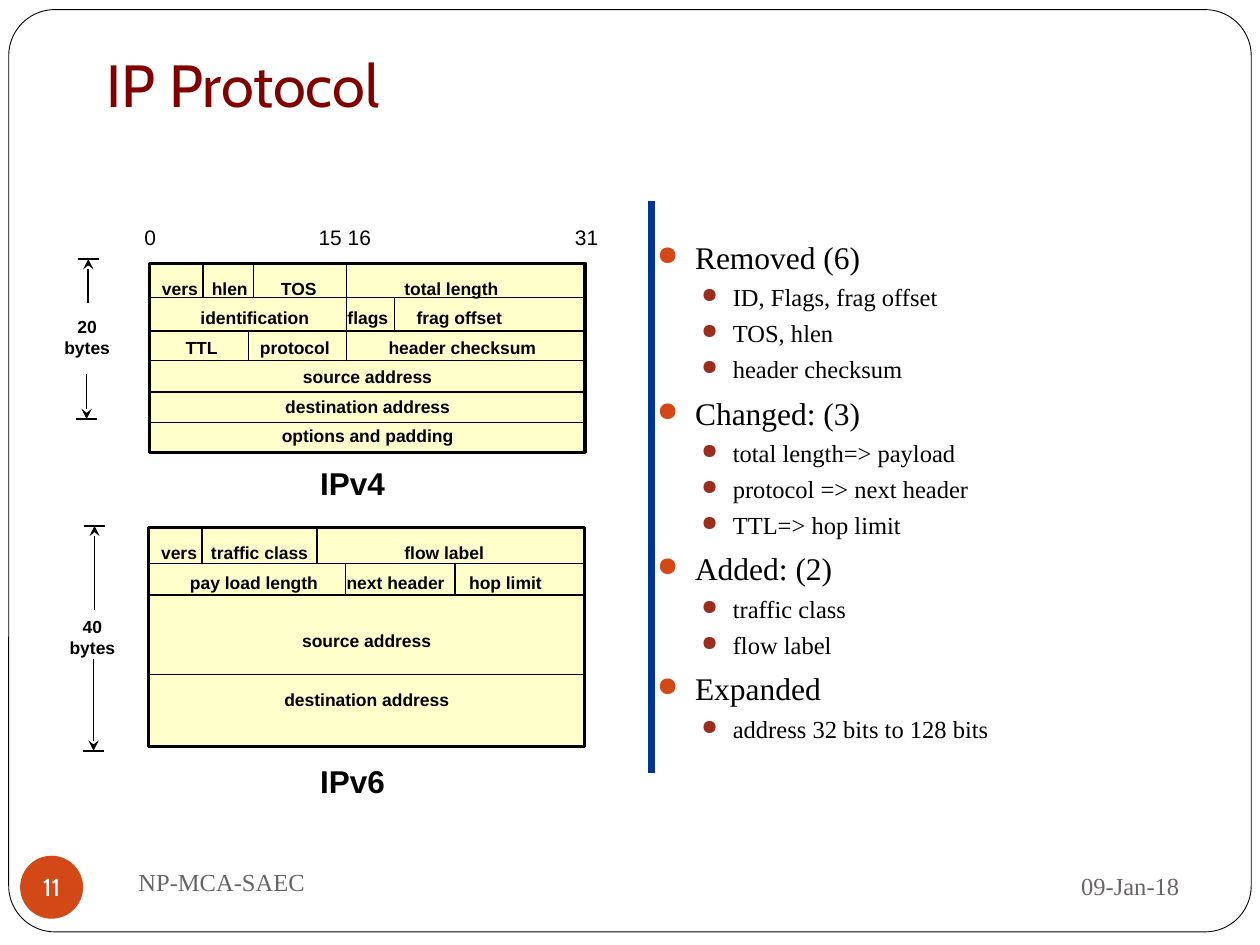
import pptx
import pptx.dml.color
import pptx.enum.shapes
import pptx.enum.text
import pptx.oxml.ns
import pptx.util
from lxml import etree

Pt = pptx.util.Pt
SHAPES = pptx.enum.shapes.MSO_SHAPE
ALIGN = pptx.enum.text.PP_ALIGN
ANCHOR = pptx.enum.text.MSO_ANCHOR
BLACK, GREY, ORANGE, RUST = "000000", "696464", "D34817", "9B2D1F"

# Fields of a header row are (label, start in points from the text edge);
# a row that is a plain string is one centred field.
# Dividers are (x, first row edge, last row edge).
HEADERS = [
    {
        "name": "IPv4", "name_top": 261.5, "box": (85.5, 150.5, 249, 108),
        "rows": [
            [("vers", 0), ("hlen", 28.5), ("TOS", 68), ("total length", 138.5)],
            [("identification", 22), ("flags", 106), ("frag offset", 145.5)],
            [("TTL", 13.5), ("protocol", 56), ("header checksum", 129.5)],
            "source address", "destination address", "options and padding",
        ],
        "row_gap": 0,
        "edges": [150.5, 170, 189, 206, 224, 241.5],
        "dividers": [(116, 0, 1), (144.8, 0, 1), (198, 0, 3), (225.5, 1, 2), (142, 2, 3)],
        "size": ("20\nbytes", 29.5, 177),
        "arrows": [(50.5, 173, 148), (49.5, 214, 239.5)],
    },
    {
        "name": "IPv6", "name_top": 432, "box": (85, 301.5, 249, 125),
        "rows": [
            [("vers", 0), ("traffic class", 28.5), ("flow label", 139)],
            [("pay load length", 16.5), ("next header", 106), ("hop limit", 176)],
            "source address", "destination address",
        ],
        "row_gap": 16.8,
        "edges": [301.5, 322, 340, 385.5],
        "dividers": [(115.5, 0, 1), (181, 0, 1), (197.5, 1, 2), (260, 1, 2)],
        "size": ("40\nbytes", 32.5, 348.5),
        "arrows": [(54, 348.5, 300.5), (53.5, 376.5, 429)],
    },
]
BITS = [("0", 0), ("15 16", 99.5), ("31", 246)]
CHANGES = [
    ("Removed (6)", ["ID, Flags, frag offset", "TOS, hlen", "header checksum"]),
    ("Changed: (3)", ["total length=> payload", "protocol => next header", "TTL=> hop limit"]),
    ("Added: (2)", ["traffic class", "flow label"]),
    ("Expanded", ["address 32 bits to 128 bits"]),
]
BAR_WIDTH = 12.25

prs = pptx.Presentation()
prs.slide_width, prs.slide_height = Pt(720), Pt(540)
slide = prs.slides.add_slide(prs.slide_layouts[6])


def rgb(hex_color):
    return pptx.dml.color.RGBColor.from_string(hex_color)


def sub(parent, tag, **attributes):
    return etree.SubElement(parent, pptx.oxml.ns.qn(tag), attributes)


def style(paragraph, size, font, color=BLACK, bold=False, align=ALIGN.LEFT):
    paragraph.alignment = align
    for run in paragraph.runs:
        run.font.size, run.font.name, run.font.bold = Pt(size), font, bold
        run.font.color.rgb = rgb(color)


def add_text(box, text, size, font, color=BLACK, bold=False, align=ALIGN.LEFT,
             anchor=ANCHOR.TOP, wrap=True):
    frame = slide.shapes.add_textbox(*map(Pt, box)).text_frame
    frame.word_wrap, frame.vertical_anchor = wrap, anchor
    frame.text = text
    for paragraph in frame.paragraphs:
        style(paragraph, size, font, color, bold, align)
    return frame


def add_shape(kind, box, fill=None, line=None, width=1):
    shape = slide.shapes.add_shape(kind, *map(Pt, box))
    shape.shadow.inherit = False
    if fill:
        shape.fill.solid()
        shape.fill.fore_color.rgb = rgb(fill)
    else:
        shape.fill.background()
    if line:
        shape.line.color.rgb, shape.line.width = rgb(line), Pt(width)
    else:
        shape.line.fill.background()
    return shape


def add_line(x1, y1, x2, y2, color=BLACK, width=1, arrow=False):
    line = slide.shapes.add_connector(
        pptx.enum.shapes.MSO_CONNECTOR.STRAIGHT, *map(Pt, (x1, y1, x2, y2)))
    line.line.color.rgb, line.line.width = rgb(color), Pt(width)
    if arrow:
        sub(line.line._get_or_add_ln(), "a:tailEnd", type="stealth")
    sub(line._element.spPr, "a:effectLst")


def set_fields(paragraph, fields):
    """Write the fields on one line, each at its own left tab stop."""
    paragraph.text = "".join(("\t" if start else "") + label for label, start in fields)
    tabs = sub(paragraph._p.get_or_add_pPr(), "a:tabLst")
    for _, start in fields:
        if start:
            sub(tabs, "a:tab", pos=str(int(Pt(start))), algn="l")


def set_bullet(paragraph, color, left, hanging):
    properties = paragraph._p.get_or_add_pPr()
    properties.set("marL", str(int(Pt(left))))
    properties.set("indent", str(int(Pt(-hanging))))
    sub(sub(properties, "a:buClr"), "a:srgbClr", val=color)
    sub(properties, "a:buSzPct", val="85000")
    sub(properties, "a:buChar", char="●")


def add_header(header):
    left, top, width, height = header["box"]
    box = add_shape(SHAPES.RECTANGLE, header["box"], "FFFFCC", BLACK, 2)
    frame = box.text_frame
    frame.word_wrap, frame.vertical_anchor = True, ANCHOR.TOP
    for number, row in enumerate(header["rows"]):
        paragraph = frame.add_paragraph() if number else frame.paragraphs[0]
        paragraph.line_spacing = 1.4
        if isinstance(row, str):
            paragraph.text = row
            paragraph.space_before = Pt(header["row_gap"])
            align = ALIGN.CENTER
        else:
            set_fields(paragraph, row)
            align = ALIGN.LEFT
        style(paragraph, 10, "Arial", bold=True, align=align)

    edges = header["edges"]
    for y in edges[1:]:
        add_line(left, y, left + width, y)
    for x, first, last in header["dividers"]:
        add_line(x, edges[first], x, edges[last])

    size, size_left, size_top = header["size"]
    add_text((size_left, size_top, 40.5, 31.5), size, 10, "Arial", bold=True,
             align=ALIGN.CENTER, wrap=False)
    for x, start, tip in header["arrows"]:
        add_line(x, start, x, tip, arrow=True)
        add_line(x - BAR_WIDTH / 2, tip, x + BAR_WIDTH / 2, tip)
    add_text((175.5, header["name_top"], 52, 29), header["name"], 18, "Arial",
             bold=True, align=ALIGN.CENTER, wrap=False)


def add_changes():
    frame = add_text((368.5, 132.5, 296, 375), "", 18, "Times New Roman")
    lines = []
    for heading, details in CHANGES:
        lines.append((heading, 0))
        lines += [(detail, 1) for detail in details]
    levels = [(18, 5.8, ORANGE, 21.6, 21.6), (14, 3.7, RUST, 43.2, 18)]
    for number, (text, level) in enumerate(lines):
        size, space, color, left, hanging = levels[level]
        paragraph = frame.add_paragraph() if number else frame.paragraphs[0]
        paragraph.text, paragraph.level = text, level
        paragraph.space_before = Pt(space)
        set_bullet(paragraph, color, left, hanging)
        style(paragraph, size, "Times New Roman")


border = add_shape(SHAPES.ROUNDED_RECTANGLE, (5, 5.5, 710, 527), line=BLACK, width=0.5)
border.adjustments[0] = 0.05
add_text((54, 18, 612, 54), "IP Protocol", 34, "Cabin", "800000", anchor=ANCHOR.BOTTOM)
add_changes()

bit_scale = add_text((75.5, 124.5, 288, 21.5), "", 12, "Arial").paragraphs[0]
set_fields(bit_scale, BITS)
style(bit_scale, 12, "Arial")
for header in HEADERS:
    add_header(header)
add_line(372.5, 115, 372.5, 441.5, "003399", 4)

add_text((486, 487.5, 195, 37.5), "09-Jan-18", 14, "Times New Roman", GREY,
         align=ALIGN.RIGHT, anchor=ANCHOR.MIDDLE)
page = add_shape(SHAPES.OVAL, (11.5, 489, 36, 36), ORANGE).text_frame
page.margin_left = page.margin_right = page.margin_top = page.margin_bottom = 0
page.word_wrap, page.vertical_anchor = False, ANCHOR.MIDDLE
page.text = "11"
style(page.paragraphs[0], 14, "Cabin", "FFFFFF", align=ALIGN.CENTER)
add_text((72, 486, 312, 36), "NP-MCA-SAEC", 14, "Times New Roman", GREY,
         anchor=ANCHOR.MIDDLE)

prs.save("out.pptx")
